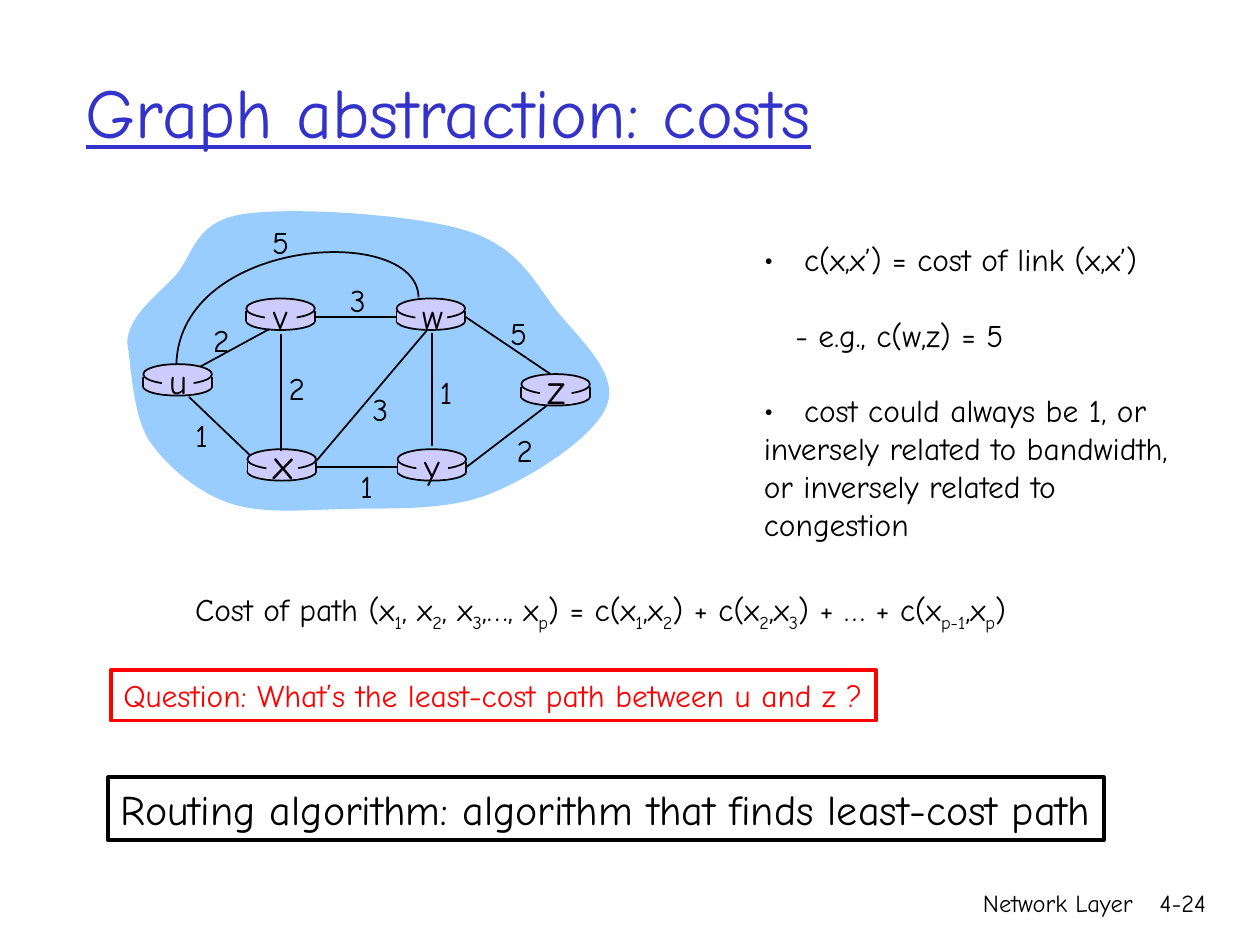
from lxml.etree import SubElement
from pptx import Presentation
from pptx.dml.color import RGBColor
from pptx.enum.shapes import MSO_CONNECTOR, MSO_SHAPE
from pptx.enum.text import MSO_ANCHOR, PP_ALIGN
from pptx.oxml.ns import qn
from pptx.util import Pt

COLORS = {"cloud": "99CCFF", "router": "CCCCFF", "title": "3333CC",
          "question": "FF0000", "black": "000000"}
FONT = "Comic Neue"


def style(shape, fill=None, line=None, width=1):
    shape.shadow.inherit = False
    if fill:
        shape.fill.solid()
        shape.fill.fore_color.rgb = RGBColor.from_string(COLORS[fill])
    else:
        shape.fill.background()
    if line:
        shape.line.color.rgb = RGBColor.from_string(COLORS[line])
        shape.line.width = Pt(width)
    else:
        shape.line.fill.background()


def write(paragraph, text, size, color="black", **formats):
    run = paragraph.add_run()
    run.text = text
    run.font.color.rgb = RGBColor.from_string(COLORS[color])
    for name, value in {"name": FONT, "size": Pt(size), **formats}.items():
        setattr(run.font, name, value)
    return run


presentation = Presentation()
presentation.slide_width, presentation.slide_height = Pt(720), Pt(540)
slide = presentation.slides.add_slide(presentation.slide_layouts[6])
shapes = slide.shapes

for text, left, top, width, height, size, color, align, anchor, formats in [
    ("Network Layer", 426.2, 504, 228.2, 36, 14, "black", PP_ALIGN.RIGHT, MSO_ANCHOR.TOP, {}),
    ("4-24", 643, 504, 53.2, 36, 14, "black", PP_ALIGN.RIGHT, MSO_ANCHOR.TOP, {}),
    ("Graph abstraction: costs", 42, 18, 612, 90, 40, "title", PP_ALIGN.LEFT,
     MSO_ANCHOR.MIDDLE, {"underline": True}),
]:
    box = shapes.add_textbox(Pt(left), Pt(top), Pt(width), Pt(height))
    box.text_frame.word_wrap = True
    box.text_frame.vertical_anchor = anchor
    paragraph = box.text_frame.paragraphs[0]
    paragraph.alignment = align
    write(paragraph, text, size, color, **formats)

cloud = [
    (72.7, 195.8), (73.4, 180.7), (88.6, 169.9), (100.1, 157.7),
    (110.9, 145.4), (110.9, 126.7), (139, 122.4), (166.3, 118.1), (236.2, 122.4), (266.4, 131.8),
    (296.6, 141.1), (305.3, 161.3), (318.2, 177.8), (331.9, 194.4), (353.5, 213.8), (347, 231.1),
    (341.3, 248.4), (305.3, 272.2), (280.1, 282.2), (254.9, 292.3), (221.8, 290.2), (196.6, 290.9),
    (172.1, 291.6), (149, 293.8), (130.3, 287.3), (112.3, 280.8), (95, 266.4), (85, 251.3),
    (75.6, 236.2), (74.9, 207.4), (72.7, 195.8),
]
long_link = [(239.2, 169.9), (238.5, 127.4), (103, 135.4), (100.8, 208.1)]
for points, closed, fill, line in [(cloud, True, "cloud", None), (long_link, False, None, "black")]:
    start, *controls = [(Pt(x), Pt(y)) for x, y in points]
    builder = shapes.build_freeform(*start, scale=1.0)
    builder.add_line_segments(controls, close=closed)
    outline = builder.convert_to_shape()
    style(outline, fill, line)
    segments = list(outline._element.iter(qn("a:lnTo")))
    for index in range(0, len(controls), 3):
        curve = segments[index]
        curve.tag = qn("a:cubicBezTo")
        for segment in segments[index + 1:index + 3]:
            curve.append(segment[0])
            segment.getparent().remove(segment)

routers = {"u": (81.9, 208.1, 20), "x": (141.4, 256.7, 24), "v": (140.7, 170.6, 20),
           "w": (226.6, 170.6, 20), "y": (227.2, 256.7, 20), "z": (297.9, 213.8, 24)}
links = []
bands = {}
for name, (left, top, size) in routers.items():
    for kind, offset, height, line in [
        (MSO_SHAPE.OVAL, 7.9, 10.1, "black"),
        (MSO_SHAPE.RECTANGLE, 7.2, 6.3, None),
        (MSO_SHAPE.OVAL, 0, 11.5, "black"),
    ]:
        part = shapes.add_shape(kind, Pt(left), Pt(top + offset), Pt(39.2), Pt(height))
        style(part, "router", line)
        if kind == MSO_SHAPE.RECTANGLE:
            bands[name] = part
    for side in (left, left + 39.2):
        links.append((side, top + 7.2, side, top + 13.5, None, None))

links += [
    (114.5, 209.5, 154, 188, None, None),
    (247, 190.1, 247, 254.9, None, None),
    (160.6, 190.8, 160.6, 257.8, None, None),
    (180.7, 263.5, 244.1, 188.6, None, None),
    (266.4, 265.7, 312.5, 231.8, ("y", 3), None),
    (227.5, 267.1, 181.4, 267.1, ("y", 1), ("x", 3)),
    (142.6, 259.9, 108, 226.8, None, None),
    (226.8, 181.4, 180.7, 181.4, ("w", 1), ("v", 3)),
    (265, 180.7, 314.6, 213.8, ("w", 3), None),
]
for x1, y1, x2, y2, begin, end in links:
    link = shapes.add_connector(MSO_CONNECTOR.STRAIGHT, Pt(x1), Pt(y1), Pt(x2), Pt(y2))
    link.line.color.rgb = RGBColor.from_string(COLORS["black"])
    link.line.width = Pt(1)
    SubElement(link._element.spPr, qn("a:effectLst"))
    if begin:
        link.begin_connect(bands[begin[0]], begin[1])
    if end:
        link.end_connect(bands[end[0]], end[1])

labels = [
    ("2", 126.4, 180, 18), ("2", 169.6, 207.4, 18), ("1", 115.2, 234, 18),
    ("3", 217.4, 219.6, 18), ("1", 209.5, 263.5, 18), ("1", 254.9, 209.5, 18),
    ("2", 299.9, 242.6, 18), ("5", 296.3, 175.7, 18), ("3", 204.5, 157, 18),
    ("5", 160.4, 123.8, 18),
]
for name, (left, top, size) in routers.items():
    plate = shapes.add_shape(MSO_SHAPE.RECTANGLE, Pt(left + 10.8), Pt(top + 1.4), Pt(18), Pt(15.6))
    style(plate, "router")
    labels.append((name, left + 19.6, top + 14.4 - size * 1.02, size))

for text, center, top, size in labels:
    label = shapes.add_textbox(Pt(center - 12), Pt(top), Pt(24), Pt(size * 1.2 + 7.2))
    label.text_frame.word_wrap = False
    label.text_frame.paragraphs[0].alignment = PP_ALIGN.CENTER
    write(label.text_frame.paragraphs[0], text, size)

notes = shapes.add_textbox(Pt(429.4), Pt(133.6), Pt(247), Pt(180))
notes.text_frame.word_wrap = True
for index, (text, margin, bullet, gap) in enumerate([
    ("c(x,x’) = cost of link (x,x’)", 23, True, 0),
    ("- e.g., c(w,z) = 5", 18, False, 21.6),
    ("cost could always be 1, or", 23, True, 21.6),
    ("inversely related to bandwidth,", 0, False, 0),
    ("or inversely related to", 0, False, 0),
    ("congestion", 0, False, 0),
]):
    paragraph = notes.text_frame.add_paragraph() if index else notes.text_frame.paragraphs[0]
    if gap:
        paragraph.space_before = Pt(gap)
    properties = paragraph._p.get_or_add_pPr()
    properties.set("marL", str(Pt(margin)))
    if bullet:
        properties.set("indent", str(-Pt(margin)))
        SubElement(properties, qn("a:buFont"), typeface=FONT)
        SubElement(properties, qn("a:buChar"), char="•")
    write(paragraph, text, 18)

formula = shapes.add_textbox(Pt(104.4), Pt(333.4), Pt(489.6), Pt(31.7))
formula.text_frame.word_wrap = True
pieces = "Cost of path (x|1|, x|2|, x|3|,…, x|p|) = c(x|1|,x|2|) + c(x|2|,x|3|) + … + c(x|p-1|,x|p|)"
for index, piece in enumerate(pieces.split("|")):
    run = write(formula.text_frame.paragraphs[0], piece, 18)
    if index % 2:
        run._r.get_or_add_rPr().set("baseline", "-25000")

for text, left, top, width, height, size, color in [
    ("Question: What’s the least-cost path between u and z ?", 63.4, 383, 437, 28.8, 18, "question"),
    ("Routing algorithm: algorithm that finds least-cost path", 61.9, 444.2, 568.8, 36, 24, "black"),
]:
    box = shapes.add_shape(MSO_SHAPE.RECTANGLE, Pt(left), Pt(top), Pt(width), Pt(height))
    style(box, None, color, 2.25)
    box.text_frame.word_wrap = False
    box.text_frame.vertical_anchor = MSO_ANCHOR.TOP
    box.text_frame.paragraphs[0].alignment = PP_ALIGN.LEFT
    write(box.text_frame.paragraphs[0], text, size, color)

presentation.save("out.pptx")
